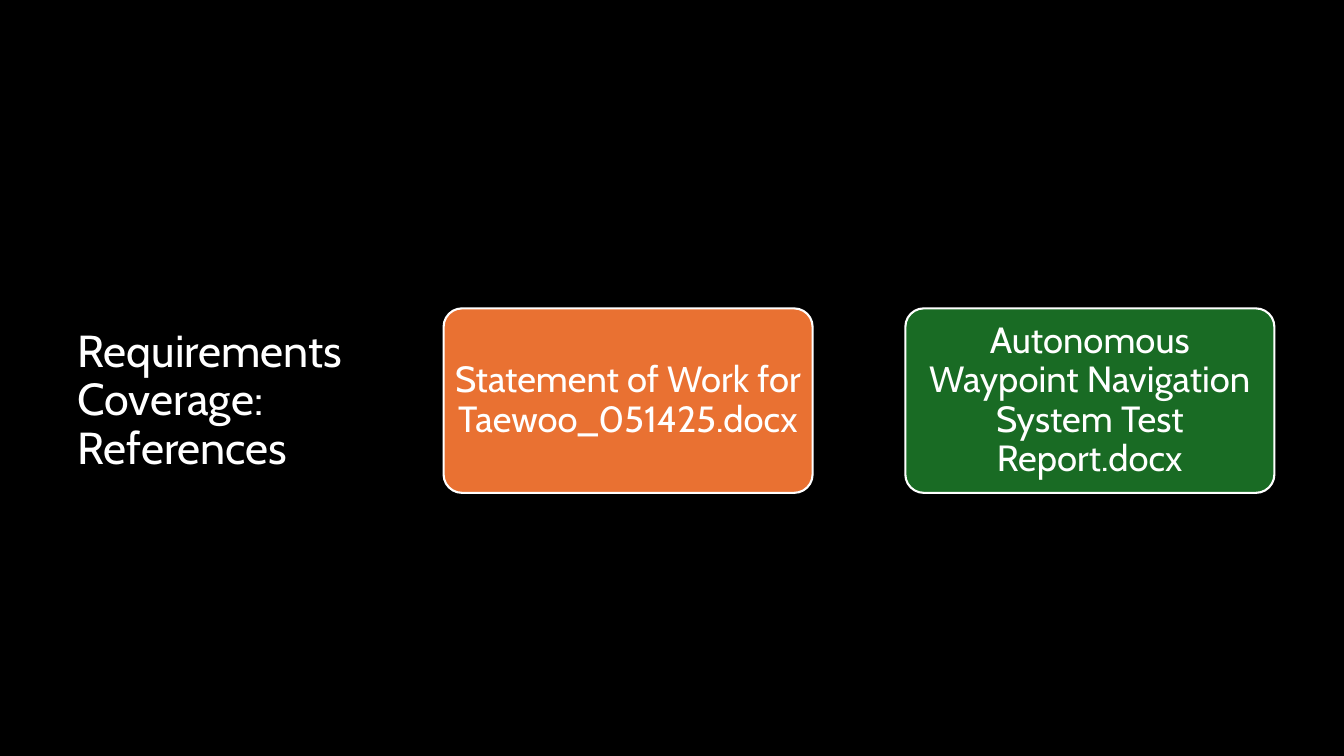
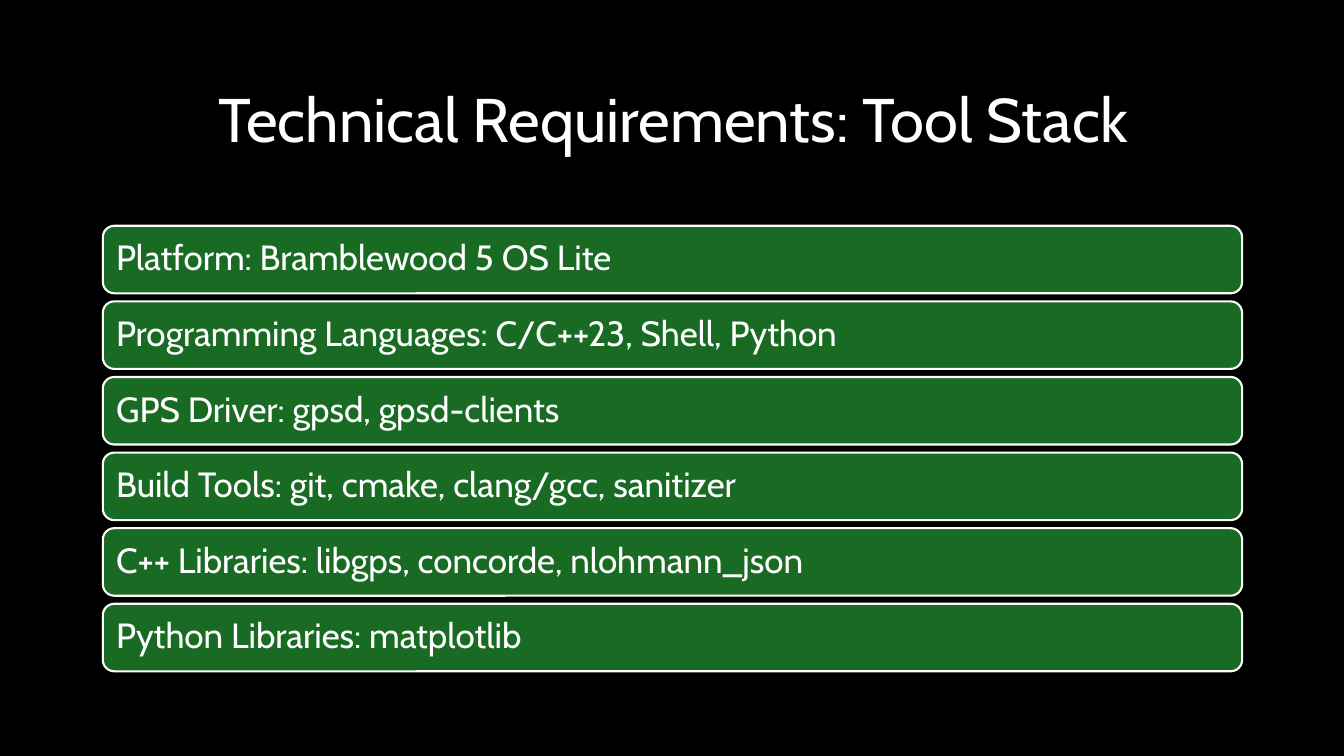
from dataclasses import dataclass

from pptx import Presentation
from pptx.dml.color import RGBColor
from pptx.enum.shapes import MSO_SHAPE
from pptx.enum.text import MSO_ANCHOR, PP_ALIGN
from pptx.util import Inches, Pt

ROUNDED = MSO_SHAPE.ROUNDED_RECTANGLE
MIDDLE = MSO_ANCHOR.MIDDLE
LEFT, CENTER = PP_ALIGN.LEFT, PP_ALIGN.CENTER


@dataclass(frozen=True)
class Theme:
    background: RGBColor = RGBColor.from_string("000000")
    text: RGBColor = RGBColor.from_string("FFFFFF")
    orange: RGBColor = RGBColor.from_string("E97132")
    green: RGBColor = RGBColor.from_string("196B24")
    font: str = "Cabin"
    side_title: int = 32
    top_title: int = 44
    card: int = 26
    row: int = 25
    outline: float = 1.5
    line_spacing: float = 0.9


THEME = Theme()
SLIDE_WIDTH, SLIDE_HEIGHT = 13.33, 7.5

# Content
REFERENCES_TITLE = "Requirements Coverage: References"
REFERENCES = [
    ("Statement of Work for Taewoo_051425.docx", THEME.orange),
    ("Autonomous Waypoint Navigation System Test Report.docx", THEME.green),
]
TOOLS_TITLE = "Technical Requirements: Tool Stack"
TOOLS = [
    ("Platform", "Bramblewood 5 OS Lite"),
    ("Programming Languages", "C/C++23, Shell, Python"),
    ("GPS Driver", "gpsd, gpsd-clients"),
    ("Build Tools", "git, cmake, clang/gcc, sanitizer"),
    ("C++ Libraries", "libgps, concorde, nlohmann_json"),
    ("Python Libraries", "matplotlib"),
]

# Layout: left, top, width, height of the first item, then the step to the next
SIDE_TITLE_BOX = (0.67, 1.37, 3.18, 5.22)
TOP_TITLE_BOX = (1.67, 0.6, 10.02, 1.24)
CARD_BOX, CARD_STEP = (4.4, 3.06, 3.66, 1.83), 4.58
ROW_BOX, ROW_STEP = (1.02, 2.24, 11.3, 0.67), 0.75


def write_text(shape, text, *, size, align=LEFT, margins=(0.1, 0.05)):
    """Fill a shape with one paragraph in the shared text style."""
    frame = shape.text_frame
    frame.word_wrap = True
    frame.vertical_anchor = MIDDLE
    frame.margin_left = frame.margin_right = Inches(margins[0])
    frame.margin_top = frame.margin_bottom = Inches(margins[1])
    paragraph = frame.paragraphs[0]
    paragraph.alignment = align
    paragraph.line_spacing = THEME.line_spacing
    run = paragraph.add_run()
    run.text = text
    run.font.name = THEME.font
    run.font.size = Pt(size)
    run.font.color.rgb = THEME.text


def add_title(slide, text, box, **text_format):
    write_text(slide.shapes.add_textbox(*map(Inches, box)), text, **text_format)


def add_panel(slide, text, box, fill, corner, **text_format):
    """Add a rounded, outlined panel that holds its own text."""
    shape = slide.shapes.add_shape(ROUNDED, *map(Inches, box))
    shape.adjustments[0] = corner
    shape.shadow.inherit = False
    shape.fill.solid()
    shape.fill.fore_color.rgb = fill
    shape.line.color.rgb = THEME.text
    shape.line.width = Pt(THEME.outline)
    write_text(shape, text, **text_format)


def build_references(slide):
    add_title(slide, REFERENCES_TITLE, SIDE_TITLE_BOX, size=THEME.side_title)
    left, top, width, height = CARD_BOX
    for index, (text, fill) in enumerate(REFERENCES):
        box = (left + index * CARD_STEP, top, width, height)
        add_panel(slide, text, box, fill, 0.1,
                  size=THEME.card, align=CENTER, margins=(0.05, 0.04))


def build_tools(slide):
    add_title(slide, TOOLS_TITLE, TOP_TITLE_BOX, size=THEME.top_title, align=CENTER)
    left, top, width, height = ROW_BOX
    for index, (label, tools) in enumerate(TOOLS):
        box = (left, top + index * ROW_STEP, width, height)
        add_panel(slide, f"{label}: {tools}", box, THEME.green, 0.17,
                  size=THEME.row, margins=(0.1, 0.1))


def main():
    presentation = Presentation()
    presentation.slide_width = Inches(SLIDE_WIDTH)
    presentation.slide_height = Inches(SLIDE_HEIGHT)
    # Shared background on the master
    background = presentation.slide_master.background.fill
    background.solid()
    background.fore_color.rgb = THEME.background
    blank = presentation.slide_layouts[6]
    for build in (build_references, build_tools):
        build(presentation.slides.add_slide(blank))
    presentation.save("out.pptx")


if __name__ == "__main__":
    main()
